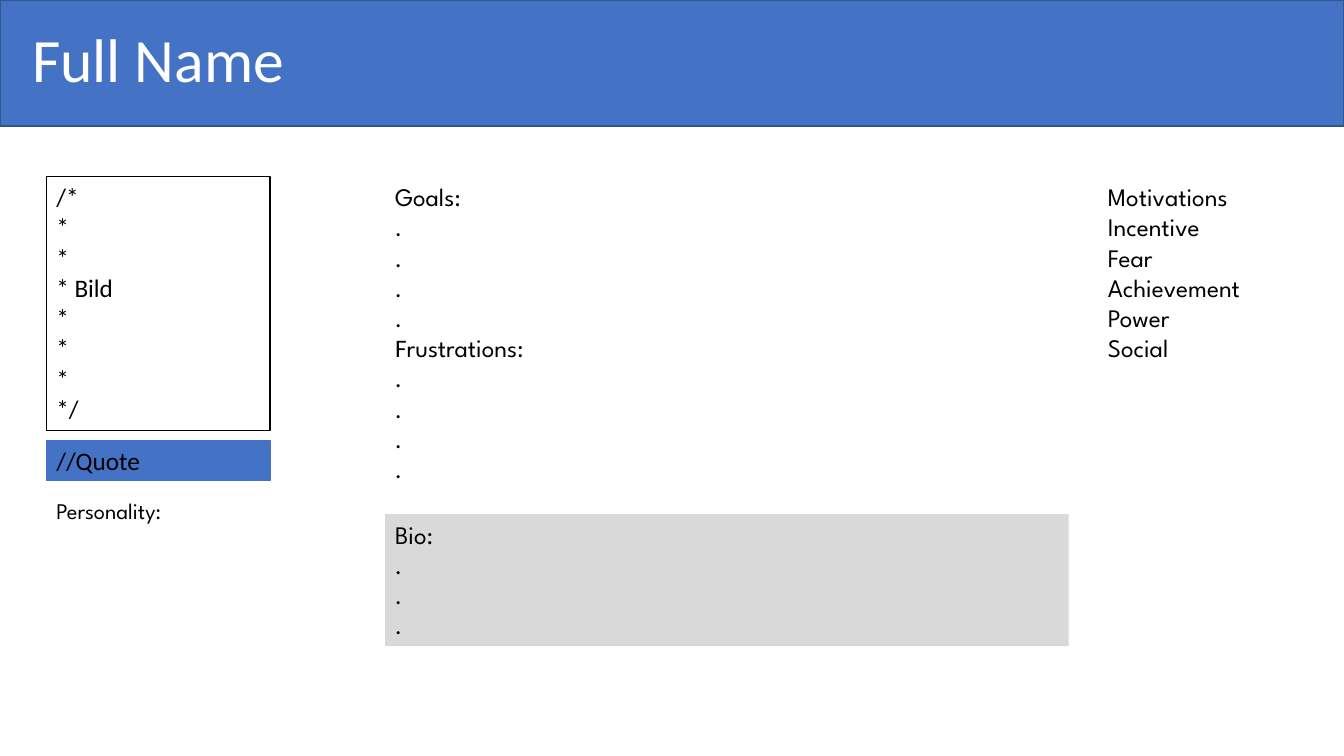
from pptx import Presentation
from pptx.dml.color import RGBColor
from pptx.enum import shapes, text
from pptx.util import Inches, Pt

CALIBRI, SPARTAN = "Calibri", "League Spartan"
BLUE, BLACK, WHITE = "4472C4", "000000", "FFFFFF"


def color(hex_code):
    return RGBColor.from_string(hex_code)


def add_block(lines, box, size=18, ink=BLACK, fill=None, line=None,
              anchor=text.MSO_ANCHOR.TOP, grow=True, spacing=None):
    """Add a text block; each line is a list of (words, font) runs."""
    place = [Inches(value) for value in box]
    if fill:
        block = slide.shapes.add_shape(shapes.MSO_SHAPE.RECTANGLE, *place)
        block.shadow.inherit = False
        block.fill.solid()
        block.fill.fore_color.rgb = color(fill)
        if line:
            block.line.color.rgb = color(line)
            block.line.width = Pt(1)
        else:
            block.line.fill.background()
    else:
        block = slide.shapes.add_textbox(*place)
    frame = block.text_frame
    frame.word_wrap = True
    frame.vertical_anchor = anchor
    if grow:
        frame.auto_size = text.MSO_AUTO_SIZE.SHAPE_TO_FIT_TEXT
    for index, runs in enumerate(lines):
        paragraph = frame.add_paragraph() if index else frame.paragraphs[0]
        paragraph.alignment = text.PP_ALIGN.LEFT
        if spacing:
            paragraph.line_spacing = spacing
        for words, font in runs:
            run = paragraph.add_run()
            run.text = words
            run.font.name = font
            run.font.size = Pt(size)
            run.font.color.rgb = color(ink)


prs = Presentation()
prs.slide_width, prs.slide_height = Inches(13.33), Inches(7.5)
slide = prs.slides.add_slide(prs.slide_layouts[6])

# Header
add_block([], (0, 0, 13.33, 1.25), fill=BLUE, line="325491", grow=False)
add_block([[("Full Name", CALIBRI)]], (0.22, 0, 11.5, 1.25), size=44, ink=WHITE,
          anchor=text.MSO_ANCHOR.MIDDLE, grow=False, spacing=0.9)

# Portrait column
portrait = ["/*", "*", "*", "* Bild", "*", "*", "*", "*/"]
add_block([[(words, CALIBRI)] for words in portrait], (0.46, 1.75, 2.22, 2.52),
          fill=WHITE, line=BLACK)
add_block([[("//Quote", CALIBRI)]], (0.46, 4.37, 2.22, 0.4), fill=BLUE, line=BLUE)

# Goals, frustrations and bio
point = [(".", CALIBRI)]
goals = [[("Goals:", SPARTAN)]] + [point] * 4
frustrations = [[("F", CALIBRI), ("rustrations:", SPARTAN)]] + [point] * 4
bio = [[("Bio:", SPARTAN)]] + [point] * 3
add_block(goals + frustrations, (3.82, 1.75, 6.54, 3.43))
add_block(bio, (3.82, 5.1, 6.78, 1.31), fill="D9D9D9")

# Personality and motivations
add_block([[("Personality:", SPARTAN)]], (0.46, 4.88, 2.82, 0.94), size=16)
motivations = ["Motivations", "Incentive", "Fear", "Achievement", "Power", "Social"]
add_block([[(words, SPARTAN)] for words in motivations], (10.89, 1.75, 2.23, 1.92))

prs.save("out.pptx")
